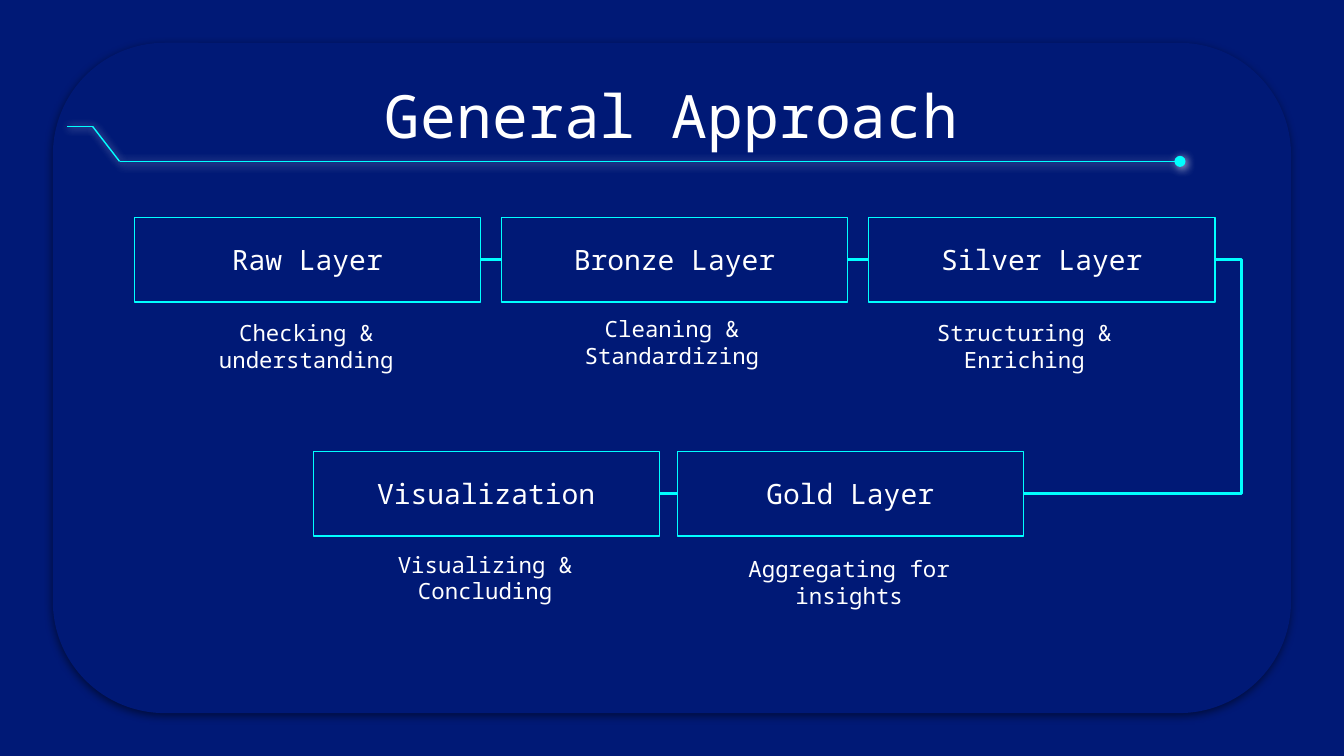
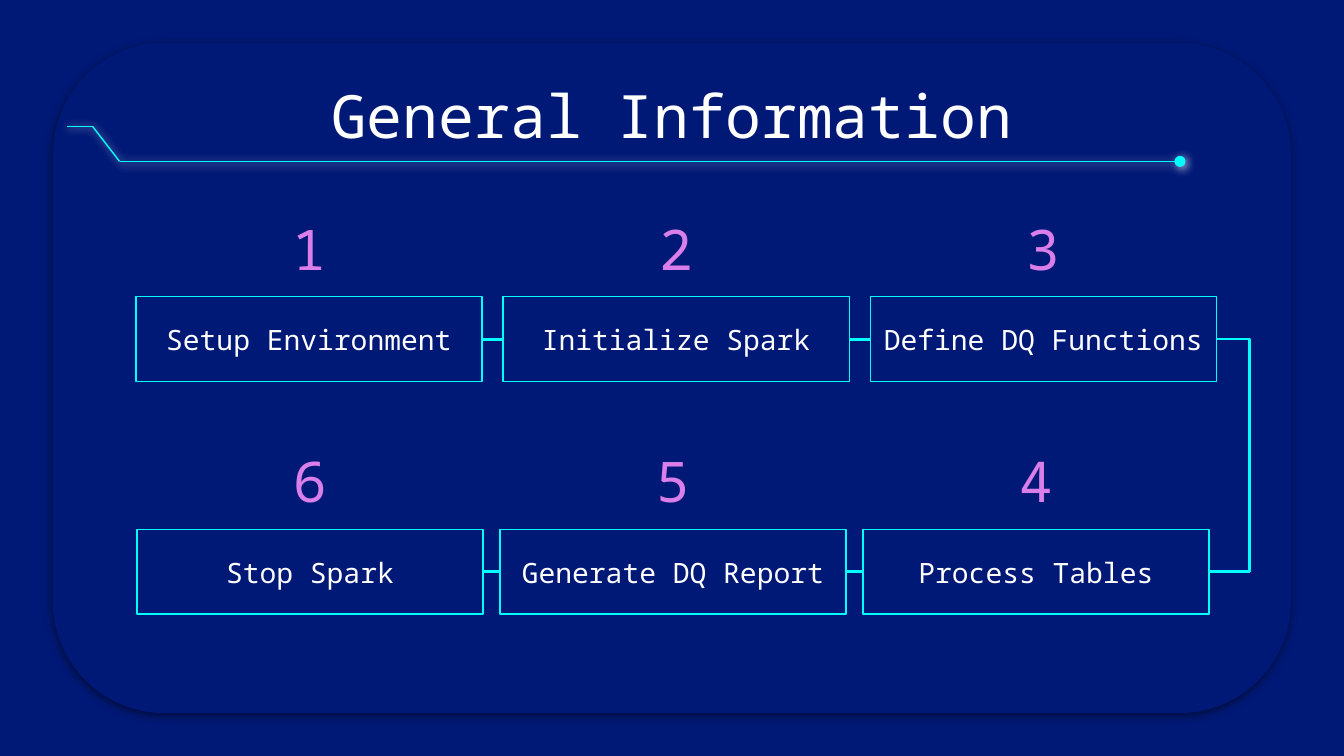
from lxml.etree import SubElement
from pptx import Presentation
from pptx.dml.color import RGBColor
from pptx.enum.shapes import MSO_CONNECTOR, MSO_SHAPE
from pptx.enum.text import MSO_ANCHOR, PP_ALIGN
from pptx.oxml.ns import qn
from pptx.util import Cm, Pt

ROUNDED = MSO_SHAPE.ROUNDED_RECTANGLE
STRAIGHT = MSO_CONNECTOR.STRAIGHT
ELBOW = MSO_CONNECTOR.ELBOW
TOP = MSO_ANCHOR.TOP
MIDDLE = MSO_ANCHOR.MIDDLE
CENTER = PP_ALIGN.CENTER

NAVY = RGBColor(0x00, 0x19, 0x76)
CYAN = RGBColor(0x00, 0xFF, 0xFF)
WHITE = RGBColor(0xFF, 0xFF, 0xFF)
PINK = RGBColor(0xDA, 0x7E, 0xE9)
FONT = "Noto Sans Mono"

PANEL_SHADOW = ("000000", 50, 1.5, 90)
GLOW = ("FFFFFF", 75, 0.75, 63)

BOX_WIDTH, BOX_HEIGHT = 6.54, 1.6
NUMBER_SIZE = 1.85
LEFT_SIDE, RIGHT_SIDE = 1, 3

HEADER_LINES = [
    (1.75, 2.39, 2.26, 3.05),
    (1.75, 2.39, 1.27, 2.39),
    (2.26, 3.05, 22.3, 3.05),
]

SLIDES = [
    {
        "title": "General Approach",
        "upper": (2.54, 6.94, 4.11, ["Raw Layer", "Bronze Layer", "Silver Layer"]),
        "lower": (5.92, 6.88, 8.53, ["Visualization", "Gold Layer"]),
        "bend": 23.47,
        "numbered": False,
        "captions": [
            ("Checking & understanding", 2.54, 5.79, 6.5),
            ("Cleaning & Standardizing", 9.45, 5.71, 6.5),
            ("Structuring & Enriching", 16.36, 5.79, 6),
            ("Visualizing & Concluding", 5.92, 10.16, 6.5),
            ("Aggregating for insights", 12.8, 10.24, 6.5),
        ],
    },
    {
        "title": "General Information",
        "upper": (2.57, 6.94, 5.61,
                  ["Setup Environment", "Initialize Spark", "Define DQ Functions"]),
        "lower": (2.59, 6.86, 10.01,
                  ["Stop Spark", "Generate DQ Report", "Process Tables"]),
        "bend": 23.62,
        "numbered": True,
        "captions": [],
    },
]


def write_text(box, text, size, color=WHITE, anchor=TOP):
    frame = box.text_frame
    frame.text = text
    frame.word_wrap = True
    frame.vertical_anchor = anchor
    frame.margin_left = frame.margin_right = Cm(0.25)
    frame.margin_top = frame.margin_bottom = Cm(0.25)
    para = frame.paragraphs[0]
    para.alignment = CENTER
    span = para.runs[0]
    span.font.name = FONT
    span.font.size = Pt(size)
    span.font.color.rgb = color


def set_effect(shape, shadow=None):
    effects = SubElement(shape._element.spPr, qn("a:effectLst"))
    if shadow:
        color, opacity, distance, angle = shadow
        outer = SubElement(effects, qn("a:outerShdw"), blurRad=str(Pt(4.5)),
                           dist=str(Pt(distance)), dir=str(angle * 60000),
                           algn="bl", rotWithShape="0")
        tint = SubElement(outer, qn("a:srgbClr"), val=color)
        SubElement(tint, qn("a:alpha"), val=str(opacity * 1000))


deck = Presentation()
deck.slide_width = Cm(25.4)
deck.slide_height = Cm(14.29)

for content in SLIDES:
    page = deck.slides.add_slide(deck.slide_layouts[6])
    page.background.fill.solid()
    page.background.fill.fore_color.rgb = NAVY

    panel = page.shapes.add_shape(ROUNDED, Cm(1), Cm(0.81), Cm(23.4), Cm(12.67))
    panel.fill.solid()
    panel.fill.fore_color.rgb = NAVY
    panel.line.fill.background()
    set_effect(panel, PANEL_SHADOW)

    title = page.shapes.add_textbox(Cm(2), Cm(1.24), Cm(21.4), Cm(1.6))
    write_text(title, content["title"], 32)

    header = page.shapes.add_group_shape()
    for ends in HEADER_LINES:
        stroke = header.shapes.add_connector(STRAIGHT, *[Cm(end) for end in ends])
        stroke.line.color.rgb = CYAN
        stroke.line.width = Pt(0.75)
        set_effect(stroke, GLOW)
    SubElement(stroke.get_or_add_ln(), qn("a:tailEnd"), type="oval")

    rows = []
    for left, pitch, top, labels in (content["upper"], content["lower"]):
        row = []
        for column, label in enumerate(labels):
            box = page.shapes.add_shape(ROUNDED, Cm(left + column * pitch), Cm(top),
                                        Cm(BOX_WIDTH), Cm(BOX_HEIGHT))
            box.adjustments[0] = 0
            box.fill.background()
            box.line.color.rgb = CYAN
            box.line.width = Pt(0.75)
            box.shadow.inherit = False
            write_text(box, label, 15, anchor=MIDDLE)
            row.append(box)
        rows.append(row)

    upper, lower = rows
    lower.reverse()
    links = [(STRAIGHT, first, RIGHT_SIDE, second, LEFT_SIDE)
             for first, second in zip(upper, upper[1:])]
    links.append((ELBOW, upper[-1], RIGHT_SIDE, lower[0], RIGHT_SIDE))
    links += [(STRAIGHT, first, LEFT_SIDE, second, RIGHT_SIDE)
              for first, second in zip(lower, lower[1:])]
    for kind, first, first_side, second, second_side in links:
        link = page.shapes.add_connector(kind, 0, 0, 0, 0)
        link.begin_connect(first, first_side)
        link.end_connect(second, second_side)
        link.line.color.rgb = CYAN
        link.line.width = Pt(1.5)
        set_effect(link)
        if kind == ELBOW:
            ratio = (link.begin_x - Cm(content["bend"])) / (link.begin_x - link.end_x)
            geometry = link._element.spPr.find(qn("a:prstGeom"))
            guides = geometry.find(qn("a:avLst"))
            SubElement(guides, qn("a:gd"), name="adj1",
                       fmla=f"val {round(ratio * 100000)}")

    if content["numbered"]:
        for number, box in enumerate(upper + lower, start=1):
            size = Cm(NUMBER_SIZE)
            badge = page.shapes.add_textbox(box.left + (box.width - size) // 2,
                                            box.top - size, size, size)
            write_text(badge, str(number), 30, PINK, MIDDLE)

    for text, left, top, width in content["captions"]:
        caption = page.shapes.add_textbox(Cm(left), Cm(top), Cm(width), Cm(1.7))
        write_text(caption, text, 12)

deck.save("out.pptx")
